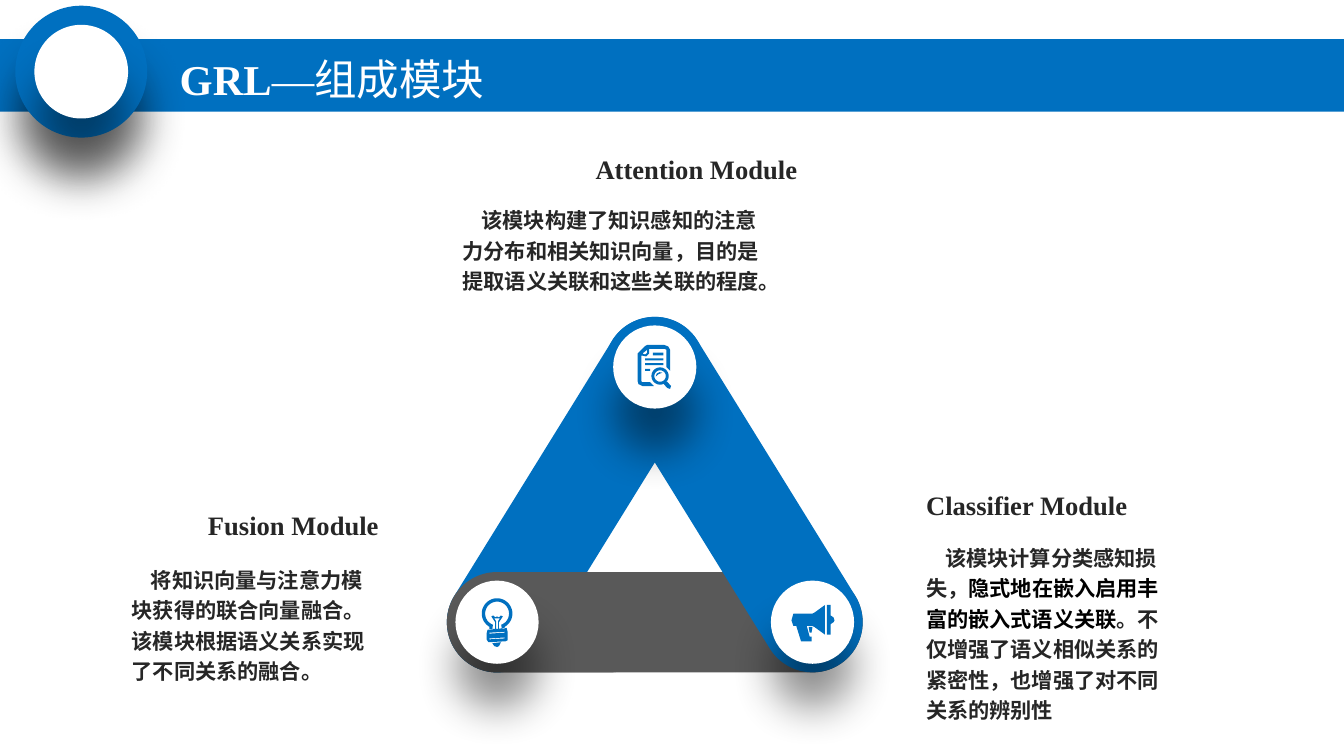
"""Builds the slide on the three modules of GRL."""
import math
from lxml import etree
from pptx import Presentation, util as u
from pptx.dml.color import RGBColor
from pptx.enum import shapes as kinds, text as t
from pptx.oxml.ns import qn

BLUE, GREY, WHITE, DARK = "0070C0", "595959", "FFFFFF", "262626"
SERIF, SANS = "Times New Roman", "Noto Sans CJK SC"
WIDE, HIGH = 14.06, 7.91
TITLE = [("GRL", {"bold": True}), ("—组成模块", {"bold": False})]
MODULES = [
    ("Classifier Module", (9.59, 5, 2.33, 0.5), "l", (9.59, 5.6, 2.68, 2.04), [
        ("该模块计算分类感知损失，", {}),
        ("隐式地在嵌入启用丰富的嵌入式语义关联", {"font": "Calibri", "color": "000000"}),
        ("。不仅增强了语义相似关系的紧密性，也增强了对不同关系的辨别性", {})]),
    ("Attention Module", (6.08, 1.48, 2.36, 0.5), "r", (4.74, 2.07, 3.49, 1.39), [
        ("该模块构建了知识感知的注意力分布和相关知识向量，目的是提取语义关联和这些关联的程度。", {})]),
    ("Fusion Module", (1.75, 5.21, 2.31, 0.5), "r", (1.28, 5.83, 2.79, 1.35), [
        ("将知识向量与注意力模块获得的联合向量融合。该模块根据语义关系实现了不同关系的融合。", {})]),
]
TOP, LEFT, RIGHT = (6.85, 3.84), (5.2, 6.51), (8.5, 6.51)
BAR, DISC = 1.05, 0.87
STUB = (6.38, 6.51)
BARS = [(LEFT, RIGHT, GREY), (TOP, RIGHT, BLUE), (LEFT, TOP, BLUE), (LEFT, STUB, GREY)]


def arc(x, y, r, start=0, end=360):
    """Return points along a circular arc, angles in degrees."""
    turns = [math.radians(start + (end - start) * i / 40) for i in range(41)]
    return [(x + r * math.cos(a), y + r * math.sin(a)) for a in turns]


def rect(x, y, w, h):
    """Return the corners of a rectangle."""
    return [(x, y), (x + w, y), (x + w, y + h), (x, y + h)]


PAGE = [
    [(10, 0), (28, 0), (32, 1.5), (34, 5), (34, 27), (30, 23), (30, 5), (28, 4),
     (12, 4), (12, 9), (9, 12), (4, 11), (4, 38), (5, 39), (13, 39), (17, 43),
     (5, 43), (1, 41), (0, 38), (0, 9), (8, 1)],
    [(10, 5), (5, 9), (8, 10), (10, 8)],
    rect(16, 8, 11, 3), rect(8, 14, 19, 2), rect(8, 19, 19, 2), rect(8, 25, 5, 2),
    arc(23.5, 32.5, 9), arc(23.5, 32.5, 6),
    [(19, 33), (20, 30), (23, 28.5), (26, 29), (22, 30.5)],
    [(27.5, 41), (31, 45), (34, 46), (35, 43), (31, 38.5)],
]
BULB = [
    arc(16, 16, 16, 120, 420) + [(24, 32), (8, 32)],
    arc(16, 16, 12.5, 110, 430) + [(21, 32), (11, 32)],
    [(10, 19), (12, 18), (14, 20), (16, 19), (18, 20), (20, 18), (22, 19),
     (18, 25), (18, 32), (14, 32), (14, 25)],
    [(15, 24), (13, 21), (19, 21), (17, 24), (17, 32), (15, 32)],
    [(6, 33), (26, 31), (27, 35), (27, 44), (25, 45), (7, 46), (5, 43), (5, 37)],
    [(8, 36), (24, 35), (24, 36), (8, 37)],
    [(8, 42), (24, 41), (24, 42), (8, 43)],
    [(11, 47), (20, 46), (18, 50), (16, 51), (13, 50)],
]
HORN = [
    [(2, 9), (22, 9), (24, 8), (35, 0), (35, 31), (24, 23), (22, 22), (16, 22),
     (19, 33), (21, 33), (21, 38), (10, 38), (5, 22), (2, 22), (0, 16)],
    [(37, 0), (41, 0), (41, 11), (44, 13), (45, 16), (44, 18), (41, 20), (41, 31), (37, 31)],
    [(18, 23), (22, 23), (21, 29), (19, 29)],
]
NODES = [(TOP, PAGE, (6.67, 3.61)), (LEFT, BULB, (5.04, 6.26)), (RIGHT, HORN, (8.28, 6.33))]

deck = Presentation()
deck.slide_width, deck.slide_height = u.Inches(WIDE), u.Inches(HIGH)
slide = deck.slides.add_slide(deck.slide_layouts[5])


def rgb(code):
    """Turn a hex string into a colour."""
    return RGBColor.from_string(code)


def paint(shape, color, shade=False):
    """Fill a shape without outline, with a soft drop shadow if asked."""
    shape.fill.solid()
    shape.fill.fore_color.rgb = rgb(color)
    shape.line.fill.background()
    shape.shadow.inherit = False
    if shade:
        effects = shape.element.spPr.find(qn("a:effectLst"))
        size = str(u.Pt(33))
        drop = etree.SubElement(effects, qn("a:outerShdw"), blurRad=size, dist=size,
                                dir="5400000", algn="t", rotWithShape="0")
        black = etree.SubElement(drop, qn("a:srgbClr"), val="000000")
        etree.SubElement(black, qn("a:alpha"), val="43000")


def disc(spot, size, color, shade=True):
    """Draw a circle around a centre."""
    x, y = spot
    box = [u.Inches(v) for v in (x - size / 2, y - size / 2, size, size)]
    paint(slide.shapes.add_shape(kinds.MSO_SHAPE.OVAL, *box), color, shade)


def bar(start, end, color):
    """Draw a round-ended bar whose end caps centre on two points."""
    (x, y), (p, q) = start, end
    long = math.dist(start, end) + BAR
    box = [u.Inches(v) for v in ((x + p - long) / 2, (y + q - BAR) / 2, long, BAR)]
    shape = slide.shapes.add_shape(kinds.MSO_SHAPE.ROUNDED_RECTANGLE, *box)
    shape.adjustments[0] = 0.5
    shape.rotation = math.degrees(math.atan2(q - y, p - x))
    paint(shape, color)


def icon(parts, spot):
    """Draw closed outlines, given in hundredths of an inch, as one shape."""
    parts = [[(x * 10, y * 10) for x, y in part] for part in parts]
    pen = slide.shapes.build_freeform(*parts[0][0], scale=914.4)
    for i, part in enumerate(parts):
        if i:
            pen.move_to(*part[0])
        pen.add_line_segments(part[1:], close=True)
    paint(pen.convert_to_shape(*[u.Inches(v) for v in spot]), BLUE)


def write(shape, runs, size=16, font=SANS, color=DARK, bold=True, align="l",
          space=1.2, indent=0, before=0, anchor=t.MSO_ANCHOR.TOP):
    """Write one paragraph of runs, each of which may override the format."""
    frame = shape.text_frame
    frame.word_wrap, frame.auto_size = True, t.MSO_AUTO_SIZE.NONE
    frame.vertical_anchor = anchor
    para = frame.paragraphs[0]
    para.alignment = t.PP_ALIGN.RIGHT if align == "r" else t.PP_ALIGN.LEFT
    para.line_spacing, para.space_before = space, u.Pt(before)
    if indent:
        para._p.get_or_add_pPr().set("indent", str(u.Inches(indent)))
    for words, own in runs:
        run = para.add_run()
        run.text = words
        face = run.font
        face.size, face.bold = u.Pt(size), own.get("bold", bold)
        face.name = own.get("font", font)
        face.color.rgb = rgb(own.get("color", color))
        etree.SubElement(run._r.get_or_add_rPr(), qn("a:ea"), typeface=SANS)


def label(box, runs, **form):
    """Add a text box."""
    write(slide.shapes.add_textbox(*[u.Inches(v) for v in box]), runs, **form)


band = slide.shapes.add_shape(kinds.MSO_SHAPE.RECTANGLE, 0, u.Inches(0.41),
                              deck.slide_width, u.Inches(0.76))
paint(band, BLUE)
for size, color in ((1.38, BLUE), (0.98, WHITE)):
    disc((0.85, 0.75), size, color)

title = slide.shapes.title
title.left, title.top, title.width, title.height = [u.Inches(v) for v in (1.78, 0.58, 4.34, 0.55)]
write(title, TITLE, size=32, font=SERIF, color=WHITE, space=0.9, before=10,
      anchor=t.MSO_ANCHOR.MIDDLE)
title.element.getparent().append(title.element)

for start, end, color in BARS:
    bar(start, end, color)
for spot, parts, corner in NODES:
    disc(spot, DISC, WHITE)
    icon(parts, corner)
for name, head, side, body, runs in MODULES:
    label(head, [(name, {})], size=20, font=SERIF, align=side)
    label(body, runs, indent=0.2)

deck.save("out.pptx")
